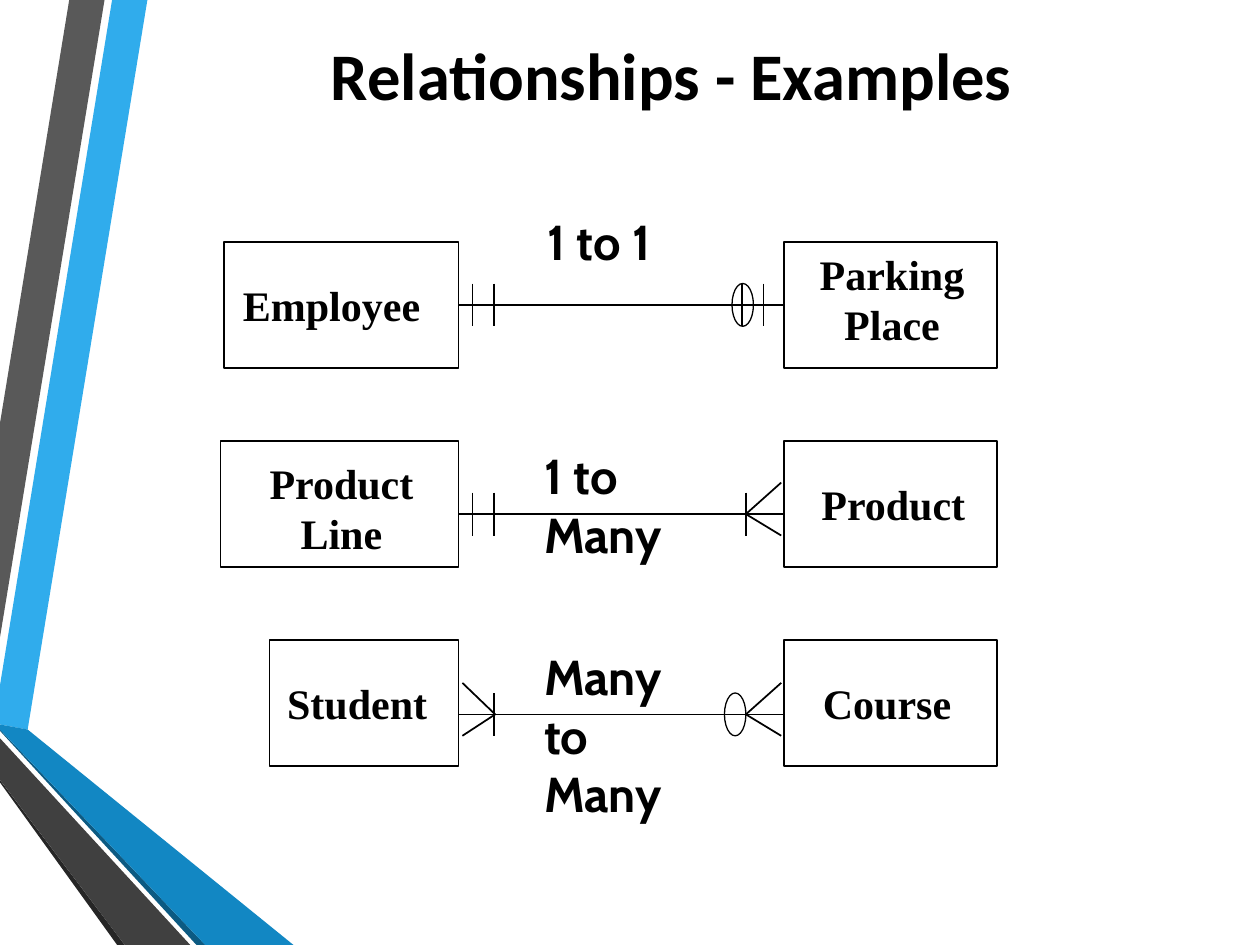
from pptx import Presentation
from pptx.dml.color import RGBColor
from pptx.enum.shapes import MSO_CONNECTOR, MSO_SHAPE
from pptx.enum.text import MSO_ANCHOR, PP_ALIGN
from pptx.oxml.ns import qn
from pptx.util import Inches, Pt
from lxml import etree

LINE = MSO_CONNECTOR.STRAIGHT
RECT, OVAL = MSO_SHAPE.RECTANGLE, MSO_SHAPE.OVAL
LEFT, MID = PP_ALIGN.LEFT, PP_ALIGN.CENTER
TOP, CENTER = MSO_ANCHOR.TOP, MSO_ANCHOR.MIDDLE
SERIF, SANS, HEAD = "Times New Roman", "Cabin", "Calibri"
INK = "000000"
TICK = 0.17

RIBBONS = [
    ("30ACEC", [(0, 5.44), (0, 5.75), (0.22, 5.79), (1.17, 0), (0.89, 0)]),
    ("595959", [(0.83, 0), (0.55, 0), (0, 3.36), (0, 5.06)]),
    ("262626", [(0, 6.19), (0, 6.21), (0.93, 7.5), (0.99, 7.5)]),
    ("0C5A82", [(0, 5.79), (0, 5.8), (1.56, 7.5), (1.63, 7.5)]),
    ("1287C3", [(0, 5.79), (1.63, 7.5), (2.33, 7.5), (0.22, 5.79), (0, 5.75)]),
    ("404040", [(0, 6.19), (0.99, 7.5), (1.51, 7.5), (0, 5.86)]),
]


def color(code):
    return RGBColor.from_string(code)


def place(shape, box):
    shape.left, shape.top, shape.width, shape.height = map(Inches, box)


def write(shape, text, size=24, font=SERIF, align=MID, anchor=TOP):
    frame = shape.text_frame
    frame.word_wrap = True
    frame.vertical_anchor = anchor
    para = frame.paragraphs[0]
    para.alignment = align
    run = para.add_run()
    run.text = text
    run.font.size = Pt(size)
    run.font.name = font
    run.font.bold = True
    run.font.color.rgb = color(INK)


def label(slide, box, text, **style):
    write(slide.shapes.add_textbox(*map(Inches, box)), text, **style)


def rule(slide, *ends):
    line = slide.shapes.add_connector(LINE, *map(Inches, ends))
    line.line.color.rgb = color(INK)
    line.line.width = Pt(1)
    etree.SubElement(line._element.spPr, qn("a:effectLst"))


def outline(slide, kind, box, width=1):
    shape = slide.shapes.add_shape(kind, *map(Inches, box))
    shape.shadow.inherit = False
    shape.fill.background()
    shape.line.color.rgb = color(INK)
    shape.line.width = Pt(width)


def ribbons(slide):
    for fill, points in RIBBONS:
        spots = [(Inches(x), Inches(y)) for x, y in points]
        pen = slide.shapes.build_freeform(*spots[0])
        pen.add_line_segments(spots[1:], close=True)
        shape = pen.convert_to_shape()
        shape.shadow.inherit = False
        shape.fill.solid()
        shape.fill.fore_color.rgb = color(fill)
        shape.line.fill.background()


def title(slide, box, text):
    place(slide.shapes.title, box)
    write(slide.shapes.title, text, size=38, font=HEAD, anchor=CENTER)


def bars(slide, y, *spots):
    for x in spots:
        rule(slide, x, y - TICK, x, y + TICK)


def ring(slide, x, y):
    outline(slide, OVAL, (x, y - TICK, 0.17, 2 * TICK), 0.75)


def crow(slide, tip, end, y):
    rule(slide, tip, y, end, y - 0.25)
    rule(slide, tip, y, end, y + TICK)


def relate(slide, box, y, near, far, ratio):
    left, top, width, height = box
    outline(slide, RECT, (left, top, 3.64 - left, height))
    outline(slide, RECT, (6.22, top, left + width - 6.22, height))
    rule(slide, 3.64, y, 6.22, y)
    label(slide, *near[:2], align=near[2])
    label(slide, *far)
    label(slide, *ratio, size=28, font=SANS, align=LEFT)


def main():
    deck = Presentation()
    deck.slide_width, deck.slide_height = Inches(10), Inches(7.5)
    slide = deck.slides.add_slide(deck.slide_layouts[5])
    ribbons(slide)
    title(slide, (1.08, 0.21, 8.5, 0.75), "Relationships - Examples")

    relate(slide, (1.78, 1.92, 6.13, 1), 2.42,
           ((1.83, 2.17, 1.83, 0.5), "Employee", LEFT),
           ((6.33, 1.92, 1.5, 0.91), "Parking Place"),
           ((4.25, 1.63, 1.42, 0.57), "1 to 1"))
    bars(slide, 2.42, 3.75, 3.92, 5.89, 6.06)
    ring(slide, 5.81, 2.42)

    relate(slide, (1.75, 3.5, 6.16, 1), 4.08,
           ((1.92, 3.58, 1.58, 0.91), "Product Line", MID),
           ((6.27, 3.75, 1.64, 0.5), "Product"),
           ((4.22, 3.49, 1.42, 1.04), "1 to Many"))
    bars(slide, 4.08, 3.75, 3.92, 5.92)
    crow(slide, 5.92, 6.2, 4.08)

    relate(slide, (2.14, 5.08, 5.77, 1), 5.67,
           ((2.17, 5.33, 1.33, 0.5), "Student", MID),
           ((6.33, 5.33, 1.42, 0.5), "Course"),
           ((4.22, 5.08, 1.42, 1.51), "Many to Many"))
    bars(slide, 5.67, 3.92)
    crow(slide, 3.93, 3.67, 5.67)
    crow(slide, 5.92, 6.2, 5.67)
    ring(slide, 5.75, 5.67)

    deck.save("out.pptx")


if __name__ == "__main__":
    main()
